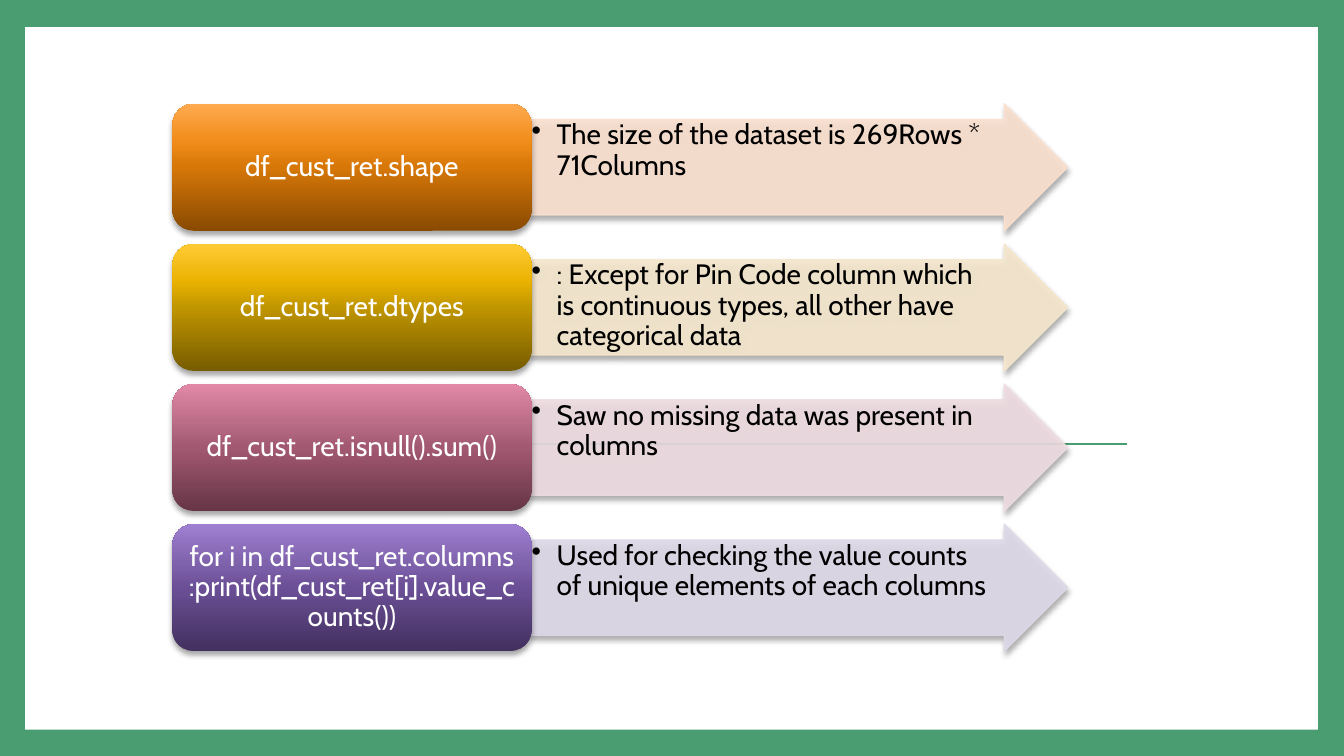
from dataclasses import dataclass

from lxml.etree import SubElement as Sub
from pptx import Presentation
from pptx.dml.color import RGBColor as Rgb
from pptx.enum.shapes import MSO_CONNECTOR as Conn, MSO_SHAPE as Kind
from pptx.enum.text import MSO_ANCHOR as Anchor, PP_ALIGN as Align
from pptx.oxml.ns import qn
from pptx.util import Inches as Inch, Pt


@dataclass(frozen=True)
class Theme:
    """Hold the colours and type of the slide."""
    green: str = "4A9C71"
    white: str = "FFFFFF"
    black: str = "000000"
    font: str = "Cabin"
    size: int = 20
    stops: tuple = (0, 50, 70, 100)


@dataclass(frozen=True)
class Step:
    """Hold one command, its finding and its colours."""
    code: str
    note: str
    pale: str
    ramp: tuple


THEME = Theme()
WIDE, HIGH = 13.33, 7.5
PITCH, ROW = 1.39, 1.26
STEPS = (
    Step("df_cust_ret.shape", "The size of the dataset is 269Rows * 71Columns",
         "FAE0CF", ("894A01", "D67708", "F08C19", "FFAA50")),
    Step("df_cust_ret.dtypes",
         ": Except for Pin Code column which is continuous types, "
         "all other have categorical data",
         "F6E7CD", ("775C00", "C09500", "E9B201", "FFCB34")),
    Step("df_cust_ret.isnull().sum()",
         "Saw no missing data was present in columns",
         "EEDCE1", ("663546", "A25871", "BB6D87", "E289A7")),
    Step("for i in df_cust_ret.columns :print(df_cust_ret[i].value_counts())",
         "Used for checking the value counts of unique elements of each columns",
         "DED9E8", ("42305E", "6B4F96", "8063AD", "9F7FD2")),
)


def tint(fill, hue):
    """Fill with one plain colour."""
    fill.solid()
    fill.fore_color.rgb = Rgb.from_string(hue)


def blend(shape, ramp):
    """Fill a shape with a ramp that rises from its foot."""
    shape.fill.gradient()
    shape.fill.gradient_angle = 90
    stops = next(shape.element.spPr.iter(qn("a:gsLst")))
    stops.clear()
    for pos, hue in zip(THEME.stops, ramp):
        stop = Sub(stops, qn("a:gs"), pos=str(pos * 1000))
        Sub(stop, qn("a:srgbClr"), val=hue)


def fade(shape, share):
    """Make the fill and line of a shape partly clear."""
    for hue in shape.element.spPr.iter(qn("a:srgbClr")):
        Sub(hue, qn("a:alpha"), val=str(share * 1000))


def shade(shape):
    """Cast a soft shadow straight down."""
    shape.shadow.inherit = False
    fx = shape.element.spPr.find(qn("a:effectLst"))
    cast = Sub(fx, qn("a:outerShdw"), blurRad=str(Pt(4)), dist=str(Pt(3)),
               dir="5400000", rotWithShape="0")
    hue = Sub(cast, qn("a:srgbClr"), val=THEME.black)
    Sub(hue, qn("a:alpha"), val="35000")


def write(shape, text, hue, pads, anchor, align):
    """Set the text of a shape and return its paragraph."""
    frame = shape.text_frame
    frame.word_wrap = True
    frame.vertical_anchor = anchor
    (frame.margin_left, frame.margin_top,
     frame.margin_right, frame.margin_bottom) = map(Inch, pads)
    para = frame.paragraphs[0]
    para.text = text
    para.alignment = align
    para.line_spacing = 0.9
    para.font.name = THEME.font
    para.font.size = Pt(THEME.size)
    para.font.color.rgb = Rgb.from_string(hue)
    return para


def dot(para):
    """Give a paragraph a hanging bullet."""
    props = para._p.get_or_add_pPr()
    props.set("marL", str(Inch(0.25)))
    props.set("indent", str(-Inch(0.25)))
    Sub(props, qn("a:buChar"), char="\u2022")


def place(slide, kind, box):
    """Add a preset shape in a box given in inches."""
    return slide.shapes.add_shape(kind, *map(Inch, box))


def draw_arrow(slide, box, step):
    """Draw the arrow that tells the finding."""
    arrow = place(slide, Kind.RIGHT_ARROW, box)
    arrow.adjustments[0] = 0.75
    tint(arrow.fill, step.pale)
    tint(arrow.line.fill, step.pale)
    arrow.line.width = Pt(1)
    fade(arrow, 90)
    shade(arrow)
    dot(write(arrow, step.note, THEME.black, (0.01, 0.01, 0.32, 0.01),
              Anchor.TOP, Align.LEFT))


def draw_label(slide, box, step):
    """Draw the rounded label that names the command."""
    label = place(slide, Kind.ROUNDED_RECTANGLE, box)
    blend(label, step.ramp)
    label.line.fill.background()
    shade(label)
    write(label, step.code, THEME.white, (0.08, 0.04, 0.08, 0.04),
          Anchor.MIDDLE, Align.CENTER)


def draw_steps(slide, box):
    """Stack one label and arrow for each step in the box."""
    left, top, width, _ = box
    split = 0.4 * width
    for num, step in enumerate(STEPS):
        y = top + num * PITCH
        draw_arrow(slide, (left + split, y, width - split, ROW), step)
        draw_label(slide, (left, y, split + 0.01, ROW), step)


def draw_frame(slide, box):
    """Draw the green border, white panel and rule."""
    tint(slide.background.fill, THEME.green)
    panel = place(slide, Kind.RECTANGLE, box)
    tint(panel.fill, THEME.white)
    panel.line.fill.background()
    panel.shadow.inherit = False
    left, top, width, high = box
    x, y = left + 0.15 * width, top + 0.593 * high
    rule = slide.shapes.add_connector(
        Conn.STRAIGHT, *map(Inch, (x, y, x + 9, y)))
    tint(rule.line.fill, THEME.green)
    rule.line.width = Pt(1)
    Sub(rule._element.spPr, qn("a:effectLst"))


def main():
    """Build and save the slide."""
    deck = Presentation()
    deck.slide_width, deck.slide_height = Inch(WIDE), Inch(HIGH)
    slide = deck.slides.add_slide(deck.slide_layouts[6])
    draw_frame(slide, (0.25, 0.27, 12.82, 6.97))
    draw_steps(slide, (1.71, 1.03, 8.88, 3 * PITCH + ROW))
    deck.save("out.pptx")


main()
